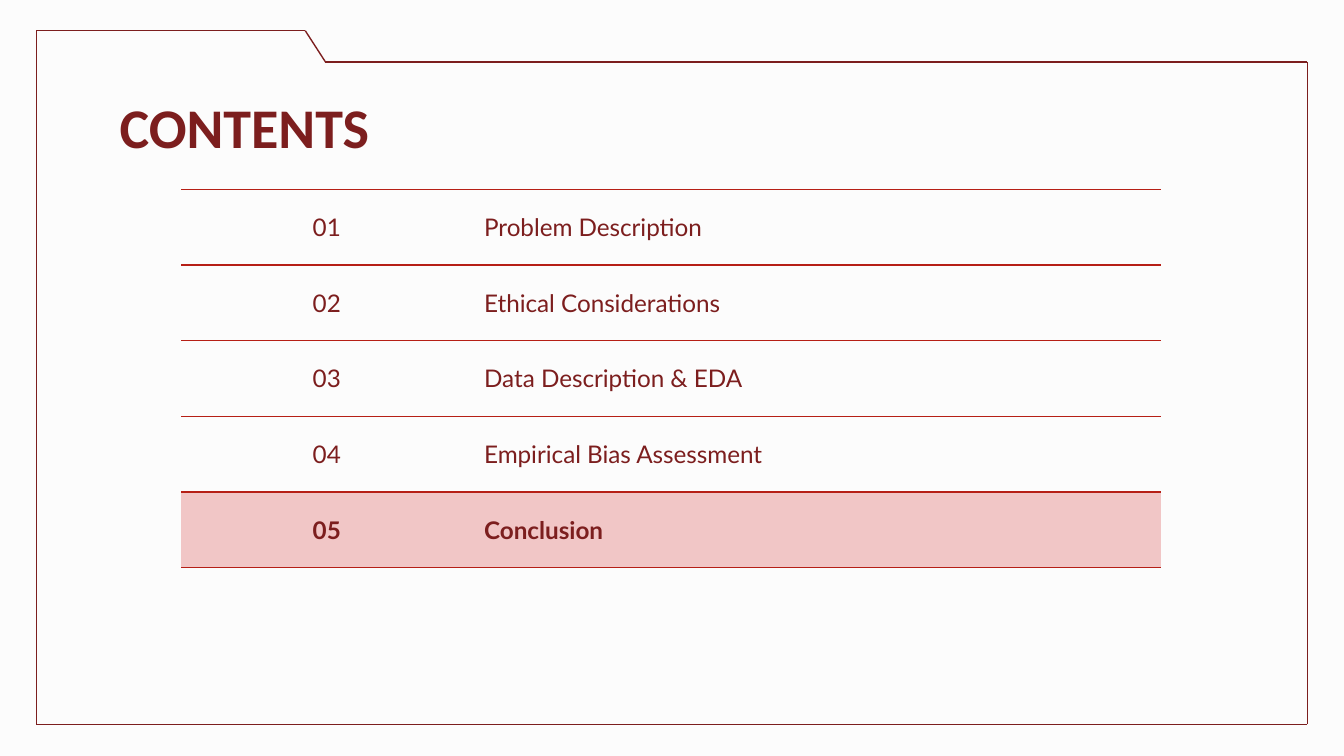
from itertools import pairwise

from lxml.etree import SubElement
from pptx import Presentation
from pptx.dml.color import RGBColor
from pptx.enum.shapes import MSO_CONNECTOR
from pptx.enum.text import MSO_ANCHOR, MSO_AUTO_SIZE, PP_ALIGN
from pptx.oxml.ns import qn
from pptx.util import Cm, Pt

DARK, RED, PINK, PAPER = "7C1E1E", "B61F16", "F1C6C6", "FCFCFC"
TOPICS = [
    "Problem Description",
    "Ethical Considerations",
    "Data Description & EDA",
    "Empirical Bias Assessment",
    "Conclusion",
]
FRAME = [
    (0.69, 0.58), (5.77, 0.58), (6.15, 1.17), (24.71, 1.17),
    (24.71, 13.69), (0.69, 13.69), (0.69, 0.58),
]
HEAD = {"name": "Calibri", "size": Pt(30), "bold": True}
BODY = {"name": "Lato", "size": Pt(13), "bold": False}
LEFT = {"alignment": PP_ALIGN.LEFT}
MID = {"alignment": PP_ALIGN.CENTER}
GAP = {"alignment": PP_ALIGN.LEFT, "space_after": Pt(16)}


def tint(code):
    return RGBColor.from_string(code)


def apply(item, style):
    for key, value in style.items():
        setattr(item, key, value)


def write(frame, text, font, layout):
    par = frame.paragraphs[0]
    apply(par, layout)
    run = par.add_run()
    run.text = text
    apply(run.font, font)
    run.font.color.rgb = tint(DARK)


def add_line(slide, start, end):
    ends = [Cm(n) for n in (*start, *end)]
    line = slide.shapes.add_connector(MSO_CONNECTOR.STRAIGHT, *ends)
    line.line.color.rgb = tint(DARK)
    line.line.width = Pt(0.75)
    SubElement(line._element.spPr, qn("a:effectLst"))


def add_title(slide, text):
    title = slide.shapes.title
    apply(title, {"left": Cm(2.01), "top": Cm(1.5),
                  "width": Cm(21.41), "height": Cm(1.32)})
    frame = title.text_frame
    inset = Cm(0.25)
    apply(frame, {
        "margin_left": inset, "margin_right": inset,
        "margin_top": inset, "margin_bottom": inset,
        "vertical_anchor": MSO_ANCHOR.TOP,
        "auto_size": MSO_AUTO_SIZE.NONE, "word_wrap": True,
    })
    write(frame, text, HEAD, LEFT)


def rule_cell(cell):
    props = cell._tc.get_or_add_tcPr()
    for side in "LRTB":
        edge = SubElement(props, qn(f"a:ln{side}"), w=str(Pt(0.75)))
        if side in "LR":
            SubElement(edge, qn("a:noFill"))
        else:
            fill = SubElement(edge, qn("a:solidFill"))
            SubElement(fill, qn("a:srgbClr"), val=RED)


def fill_cell(cell, text, font, layout, shade):
    apply(cell, {
        "margin_left": Cm(0.23), "margin_right": Cm(0.23),
        "margin_top": 0, "margin_bottom": 0,
        "vertical_anchor": MSO_ANCHOR.MIDDLE,
    })
    rule_cell(cell)
    if shade:
        cell.fill.solid()
        cell.fill.fore_color.rgb = tint(shade)
    else:
        cell.fill.background()
    write(cell.text_frame, text, font, layout)


def add_list(slide, topics, active):
    widths, height = (5.49, 13.03), 1.43
    table = slide.shapes.add_table(
        len(topics), len(widths), Cm(3.43), Cm(3.58),
        Cm(sum(widths)), Cm(height * len(topics))).table
    apply(table, {"first_row": False, "horz_banding": False})
    for col, width in zip(table.columns, widths):
        col.width = Cm(width)
    for i, topic in enumerate(topics):
        table.rows[i].height = Cm(height)
        now = i == active
        font = BODY | {"bold": now}
        shade = PINK if now else None
        fill_cell(table.cell(i, 0), f"{i + 1:02}", font, MID, shade)
        fill_cell(table.cell(i, 1), topic, font, GAP, shade)


def main():
    deck = Presentation()
    apply(deck, {"slide_width": Cm(25.4), "slide_height": Cm(14.29)})
    slide = deck.slides.add_slide(deck.slide_layouts[5])
    back = slide.background.fill
    back.solid()
    back.fore_color.rgb = tint(PAPER)
    for start, end in pairwise(FRAME):
        add_line(slide, start, end)
    add_title(slide, "CONTENTS")
    add_list(slide, TOPICS, len(TOPICS) - 1)
    deck.save("out.pptx")


if __name__ == "__main__":
    main()
